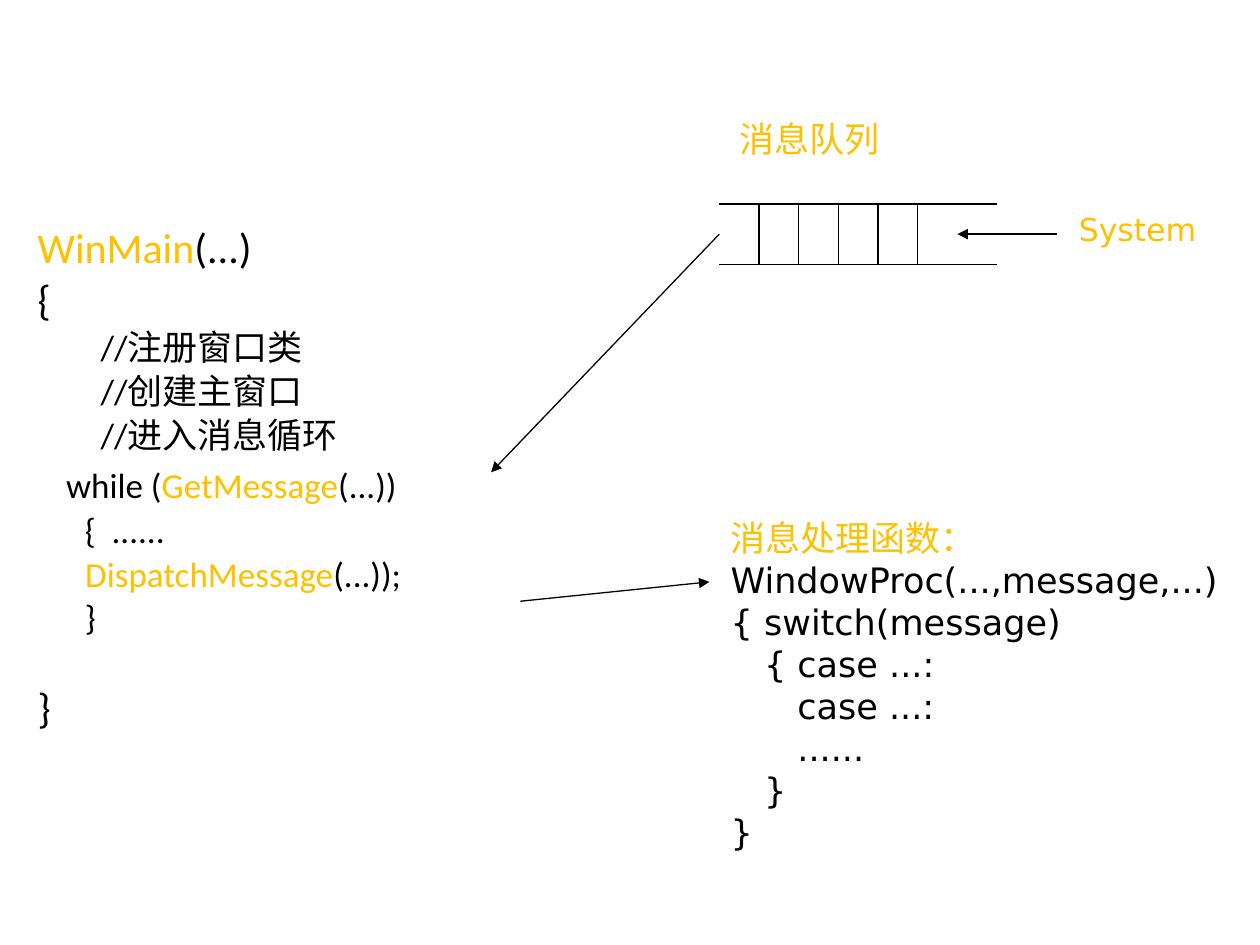
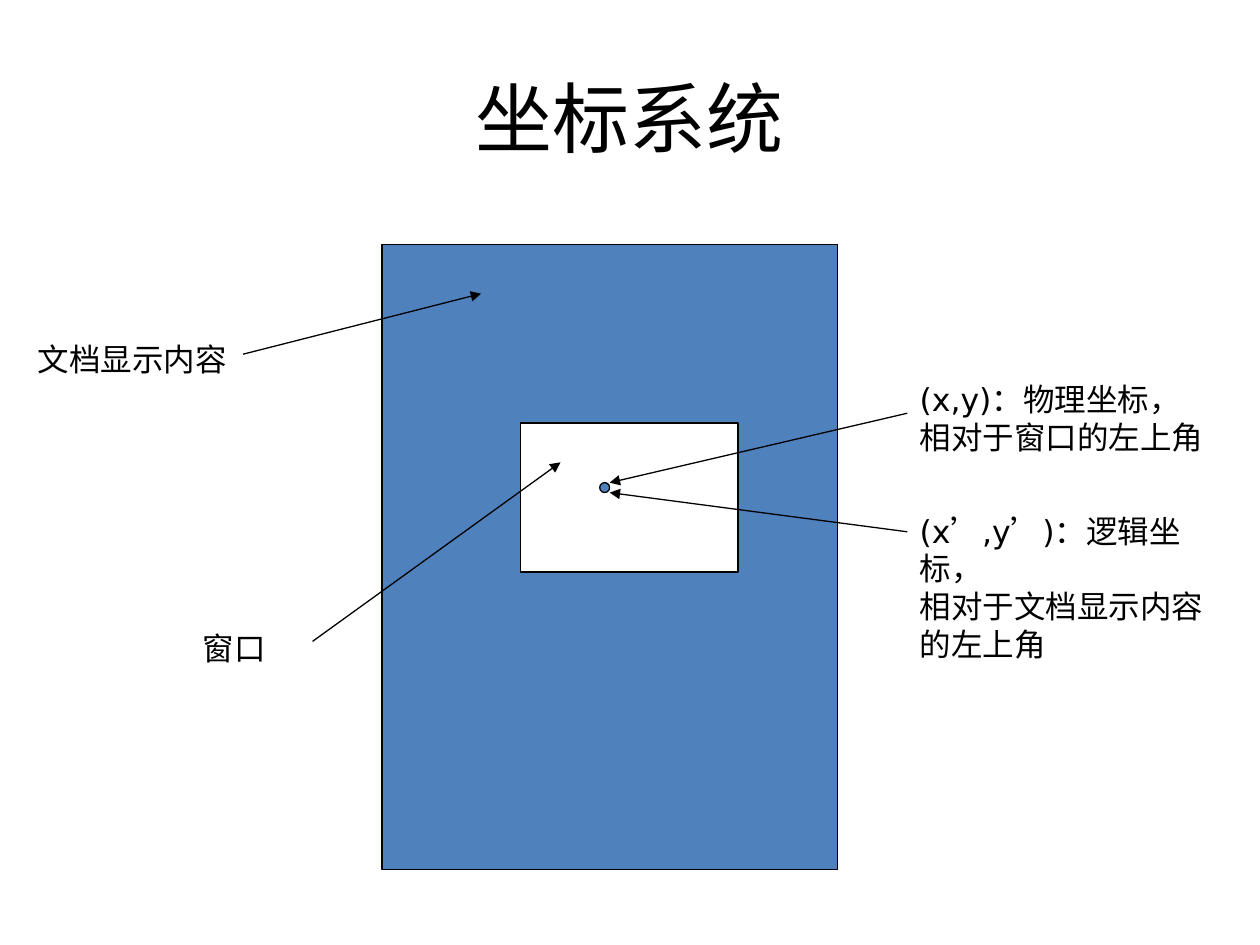
from collections import namedtuple

import pptx
import pptx.dml.color
import pptx.enum.shapes
import pptx.enum.text
import pptx.oxml
import pptx.oxml.ns
import pptx.util

Cm = pptx.util.Cm
Pt = pptx.util.Pt
RGBColor = pptx.dml.color.RGBColor
Shape = pptx.enum.shapes.MSO_SHAPE
Align = pptx.enum.text.PP_ALIGN
Anchor = pptx.enum.text.MSO_ANCHOR
qn = pptx.oxml.ns.qn

BLACK = RGBColor(0x00, 0x00, 0x00)
WHITE = RGBColor(0xFF, 0xFF, 0xFF)
GOLD = RGBColor(0xFF, 0xC0, 0x00)
BLUE = RGBColor(0x4F, 0x81, 0xBD)

Bit = namedtuple("Bit", "text ink size face", defaults=(BLACK, None, None))


class Deck:
    """Holds the shared style and the slide being drawn."""

    code = "Calibri"
    label = "DejaVu Sans"
    stroke = Pt(0.75)

    def __init__(self):
        self.file = pptx.Presentation()
        self.file.slide_width, self.file.slide_height = Cm(25.4), Cm(19.05)

    def page(self):
        self.slide = self.file.slides.add_slide(self.file.slide_layouts[6])

    def put(self, par, bits, size, face, ink=BLACK):
        bits = [Bit(bits, ink)] if isinstance(bits, str) else bits
        par.font.name, par.font.size = face, Pt(size)
        inks = {bit.ink for bit in bits}
        if len(inks) == 1:
            par.font.color.rgb = bits[0].ink
        for bit in bits:
            run = par.add_run()
            run.text = bit.text
            if len(inks) > 1:
                run.font.color.rgb = bit.ink
            if bit.size:
                run.font.size = Pt(bit.size)
            if bit.face:
                run.font.name = bit.face

    def pars(self, frame, count):
        frame.word_wrap = True
        return [frame.paragraphs[0]] + [frame.add_paragraph() for _ in range(count - 1)]

    def frame(self, x, y, w, h):
        return self.slide.shapes.add_textbox(Cm(x), Cm(y), Cm(w), Cm(h)).text_frame

    def title(self, text):
        frame = self.frame(1.27, 0.76, 22.86, 3.18)
        frame.vertical_anchor = Anchor.MIDDLE
        par = self.pars(frame, 1)[0]
        par.alignment = Align.CENTER
        self.put(par, text, 44, self.code)

    def note(self, x, y, w, h, lines, size=18, ink=BLACK):
        frame = self.frame(x, y, w, h)
        for par, line in zip(self.pars(frame, len(lines)), lines):
            self.put(par, line, size, self.label, ink)

    def listing(self, x, y, w, h, lines):
        frame = self.frame(x, y, w, h)
        for row, (par, line) in enumerate(zip(self.pars(frame, len(lines)), lines)):
            size, left, hang, gap, bits = line
            props = par._p.get_or_add_pPr()
            props.set("marL", str(Cm(left)))
            props.set("indent", str(Cm(-hang)))
            par.line_spacing = 0.9
            if row:
                par.space_before = Pt(gap)
            self.put(par, bits, size, self.code)

    def box(self, kind, x, y, w, h, fill, host=None, edge=True):
        shapes = (host or self.slide).shapes
        shape = shapes.add_shape(kind, Cm(x), Cm(y), Cm(w), Cm(h))
        shape.shadow.inherit = False
        shape.fill.solid()
        shape.fill.fore_color.rgb = fill
        if edge:
            shape.line.color.rgb = BLACK
            shape.line.width = self.stroke
        else:
            shape.line.fill.background()
        return shape

    def panel(self, x, y, w, h, lines, size):
        frame = self.box(Shape.RECTANGLE, x, y, w, h, WHITE, edge=False).text_frame
        frame.vertical_anchor = Anchor.TOP
        for par, line in zip(self.pars(frame, len(lines)), lines):
            par.alignment = Align.LEFT
            self.put(par, line, size, self.label)

    def line(self, x, y, to_x, to_y, head=False):
        kind = pptx.enum.shapes.MSO_CONNECTOR.STRAIGHT
        link = self.slide.shapes.add_connector(kind, Cm(x), Cm(y), Cm(to_x), Cm(to_y))
        link.line.color.rgb = BLACK
        link.line.width = self.stroke
        props = link._element.spPr
        if head:
            tip = pptx.oxml.parse_xml('<a:tailEnd %s type="triangle"/>' % pptx.oxml.ns.nsdecls("a"))
            props.find(qn("a:ln")).append(tip)
        props.append(pptx.oxml.parse_xml("<a:effectLst %s/>" % pptx.oxml.ns.nsdecls("a")))

    def arrow(self, *ends):
        self.line(*ends, head=True)


def loop(deck):
    deck.page()
    main = (24, 0.95, 0.95, 4)
    step = (20, 2.06, 0.79, 3.4)
    body = (20, 0.95, 0.95, 3.4)
    deck.listing(0.51, 4.45, 10.2, 12.57, [
        (*main, [Bit("WinMain", GOLD), Bit("(...)")]),
        (*main, "{"),
        (*step, "//注册窗口类"),
        (*step, "//创建主窗口"),
        (*step, "//进入消息循环"),
        (*body, [Bit("   ", size=24), Bit("while ("), Bit("GetMessage", GOLD), Bit("(...))")]),
        (*body, "\t{  ......"),
        (*body, [Bit("      "), Bit("DispatchMessage", GOLD), Bit("(...));")]),
        (*body, "\t}"),
        (24, 0.95, 0.95, 28, "}"),
    ])

    left, right, top, base = 14.5, 20.1, 4.11, 5.33
    mid = (top + base) / 2
    for y in (top, base):
        deck.line(left, y, right, y)
    for cell in range(1, 6):
        x = left + 0.8 * cell
        deck.line(x, top, x, base)
    deck.arrow(21.31, mid, 19.3, mid)
    deck.arrow(left, mid, 9.9, 9.52)
    deck.note(14.65, 2.25, 3.5, 1.1, ["消息队列"], 20, GOLD)
    deck.note(21.5, 4.11, 3.4, 1.02, ["System"], ink=GOLD)

    deck.panel(14.48, 10.29, 10.62, 7.04, [
        [Bit("消息处理函数：", GOLD)],
        "WindowProc(...,message,...)",
        "{ switch(message)",
        "   { case ...:",
        "      case ...:",
        "      ......",
        "   }",
        "}",
    ], 20)
    deck.arrow(10.49, 12.12, 14.3, 11.73)


def axes(deck):
    deck.page()
    deck.title("坐标系统")
    view = deck.slide.shapes.add_group_shape()
    deck.box(Shape.RECTANGLE, 7.7, 4.93, 9.19, 12.6, BLUE, view)
    deck.box(Shape.RECTANGLE, 10.49, 8.53, 4.39, 3, WHITE, view)
    deck.box(Shape.OVAL, 12.09, 9.73, 0.2, 0.2, BLUE, view)

    deck.arrow(6.3, 12.93, 11.3, 9.32)
    deck.note(3.84, 12.55, 2, 1.02, ["窗口"])
    deck.arrow(4.9, 7.14, 9.7, 5.92)
    deck.note(0.51, 6.73, 4.6, 1.02, ["文档显示内容"])

    side, dot = 18.29, 12.29
    deck.arrow(side, 8.33, dot, 9.73)
    deck.note(side, 7.54, 6.27, 1.78, ["(x,y)：物理坐标，", "相对于窗口的左上角"])
    prime = Bit("’", face="Arial")
    deck.note(side, 10.19, 6.27, 2.54, [
        [Bit("(x"), prime, Bit(",y"), prime, Bit(")：逻辑坐标，")],
        "相对于文档显示内容",
        "的左上角",
    ])
    deck.arrow(side, 10.72, dot, 9.93)


def main():
    deck = Deck()
    loop(deck)
    axes(deck)
    deck.file.save("out.pptx")


if __name__ == "__main__":
    main()
